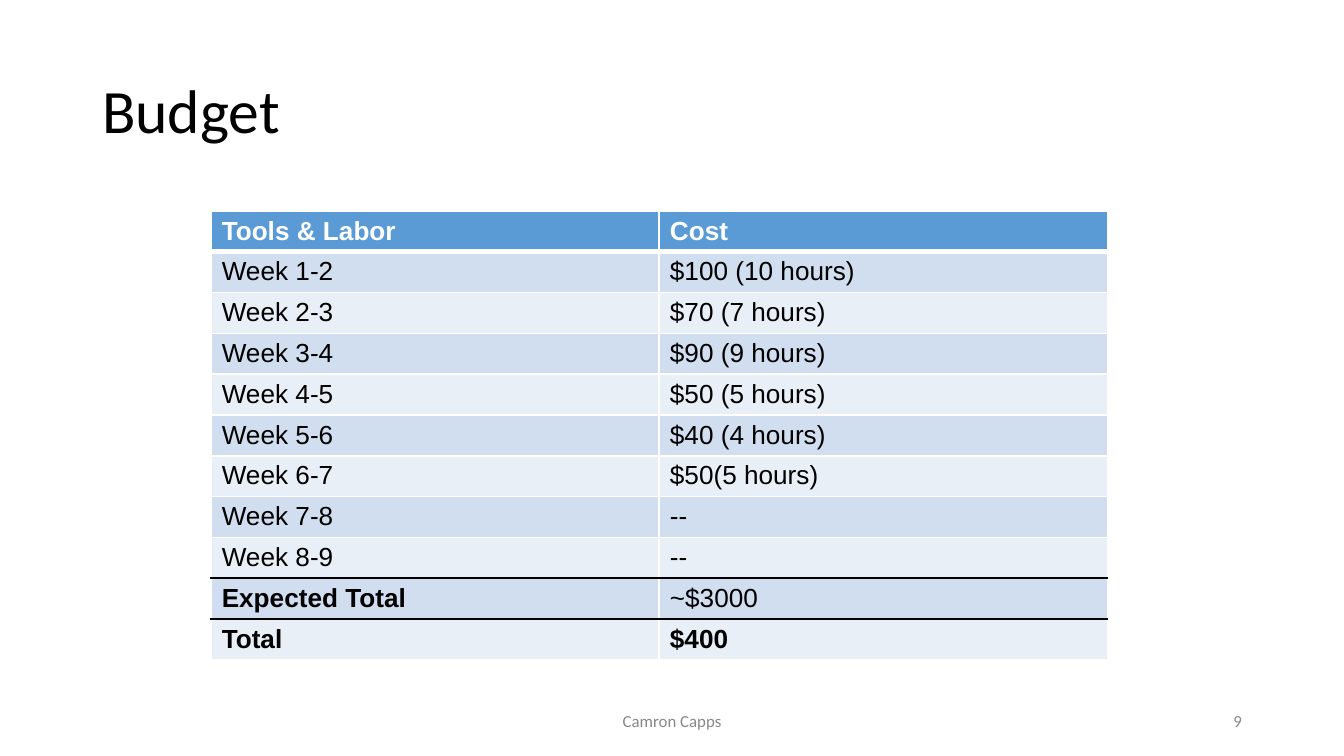
from dataclasses import dataclass

from lxml import etree
from pptx import Presentation
from pptx.dml.color import RGBColor
from pptx.enum.text import MSO_ANCHOR, PP_ALIGN
from pptx.oxml.ns import qn
from pptx.util import Inches, Pt

LEFT, CENTER, RIGHT = PP_ALIGN.LEFT, PP_ALIGN.CENTER, PP_ALIGN.RIGHT
MIDDLE = MSO_ANCHOR.MIDDLE
TITLE_ONLY = 5


@dataclass(frozen=True)
class Theme:
    head: str = "Calibri"
    body: str = "Arial"
    black: str = "000000"
    white: str = "FFFFFF"
    gray: str = "888888"
    blue: str = "5B9BD5"
    bands: tuple = ("D0DEEF", "E9EFF7")
    title: float = 33
    cell: float = 14
    foot: float = 9


THEME = Theme()
ROWS = [
    ("Tools & Labor", "Cost"),
    ("Week 1-2", "$100 (10 hours)"),
    ("Week 2-3", "$70 (7 hours)"),
    ("Week 3-4", "$90 (9 hours)"),
    ("Week 4-5", "$50 (5 hours)"),
    ("Week 5-6", "$40 (4 hours)"),
    ("Week 6-7", "$50(5 hours)"),
    ("Week 7-8", "--"),
    ("Week 8-9", "--"),
    ("Expected Total", "~$3000"),
    ("Total", "$400"),
]
BOLD = {"Tools & Labor", "Cost", "Expected Total", "Total", "$400"}
RULES = {1: (THEME.white, 3), 9: (THEME.black, 1), 10: (THEME.black, 1)}


def add_run(para, text, font, size, color, bold=False):
    """Add one formatted run to a paragraph."""
    run = para.add_run()
    run.text = text
    run.font.name = font
    run.font.size = Pt(size)
    run.font.bold = bold
    run.font.color.rgb = RGBColor.from_string(color)


def set_frame(frame, align):
    """Set wrapping, anchor, margins and alignment of a text frame."""
    frame.word_wrap = True
    frame.vertical_anchor = MIDDLE
    frame.margin_left = frame.margin_right = Inches(0.07)
    frame.margin_top = frame.margin_bottom = Inches(0.04)
    para = frame.paragraphs[0]
    para.alignment = align
    return para


def add_title(slide, text):
    """Place and fill the title placeholder."""
    title = slide.shapes.title
    title.left, title.top = Inches(0.69), Inches(0.3)
    title.width, title.height = Inches(8.62), Inches(1.09)
    para = set_frame(title.text_frame, LEFT)
    para.line_spacing = 0.9
    add_run(para, text, THEME.head, THEME.title, THEME.black)


def add_foot(slide, text, left, width, align):
    """Add one small text box on the footer line."""
    box = slide.shapes.add_textbox(
        Inches(left), Inches(5.21), Inches(width), Inches(0.3))
    para = set_frame(box.text_frame, align)
    add_run(para, text, THEME.head, THEME.foot, THEME.gray)


def set_edges(cell, row):
    """Draw the four borders of a cell."""
    plain = (THEME.white, 1)
    edges = {"lnL": plain, "lnR": plain, "lnT": RULES.get(row, plain),
             "lnB": RULES.get(row + 1, plain)}
    props = cell._tc.get_or_add_tcPr()
    for spot, (tag, (color, width)) in enumerate(edges.items()):
        line = etree.Element(qn(f"a:{tag}"), w=str(Pt(width)))
        fill = etree.SubElement(line, qn("a:solidFill"))
        etree.SubElement(fill, qn("a:srgbClr"), val=color)
        props.insert(spot, line)


def fill_cell(cell, text, row):
    """Write and format one table cell."""
    cell.margin_left = cell.margin_right = Inches(0.08)
    cell.margin_top = cell.margin_bottom = Inches(0.04)
    back = THEME.bands[(row - 1) % 2] if row else THEME.blue
    cell.fill.solid()
    cell.fill.fore_color.rgb = RGBColor.from_string(back)
    color = THEME.black if row else THEME.white
    para = cell.text_frame.paragraphs[0]
    add_run(para, text, THEME.body, THEME.cell, color, text in BOLD)
    set_edges(cell, row)


def add_grid(slide, rows):
    """Add the budget table."""
    table = slide.shapes.add_table(
        len(rows), len(rows[0]), Inches(1.57), Inches(1.57),
        Inches(6.67), Inches(3.34)).table
    for row, texts in enumerate(rows):
        for col, text in enumerate(texts):
            fill_cell(table.cell(row, col), text, row)


def main():
    """Build and save the budget slide."""
    deck = Presentation()
    deck.slide_width, deck.slide_height = Inches(10), Inches(10 * 9 / 16)
    slide = deck.slides.add_slide(deck.slide_layouts[TITLE_ONLY])
    add_title(slide, "Budget")
    add_grid(slide, ROWS)
    add_foot(slide, "Camron Capps", 3.31, 3.38, CENTER)
    add_foot(slide, "9", 7.06, 2.25, RIGHT)
    deck.save("out.pptx")


main()
